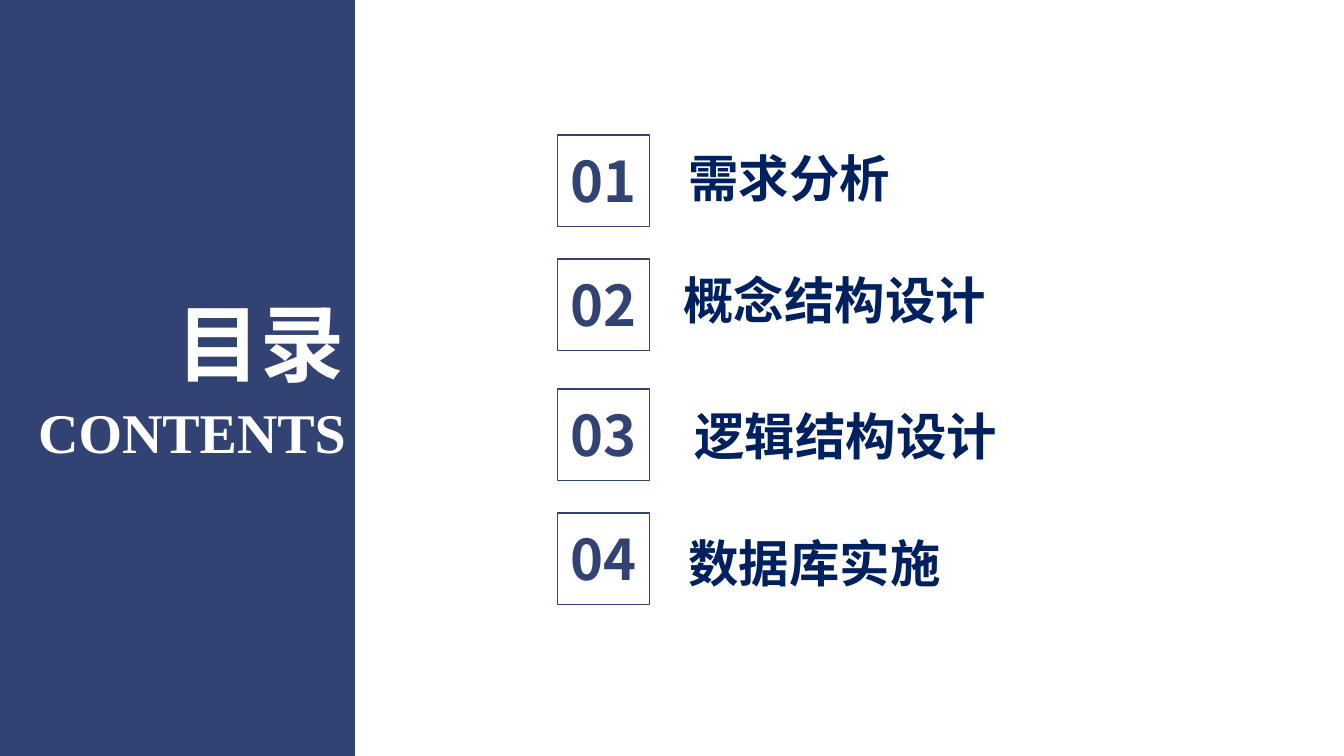
"""Build a contents slide with a dark title panel and four numbered sections."""
from lxml import etree
from pptx import Presentation
from pptx.dml.color import RGBColor
from pptx.enum import shapes, text
from pptx.oxml.ns import qn
from pptx.util import Inches, Pt

TITLES = [
    ("目录", "title", (0.98, 2.84, 2.54, 1.11)),
    ("CONTENTS", "subtitle", (0, 3.89, 3.53, 0.77)),
]
SECTIONS = [
    {"heading": "需求分析", "frame_top": 1.34, "at": (6.73, 1.41, 2.62, 0.71), "indent": 0},
    {"heading": "概念结构设计", "frame_top": 2.57, "at": (6.33, 2.62, 3.88, 0.71), "indent": 0.35},
    {"heading": "逻辑结构设计", "frame_top": 3.86, "at": (6.44, 3.97, 4.67, 0.71), "indent": 0.35},
    {"heading": "数据库实施", "frame_top": 5.09, "at": (6.73, 5.23, 5.36, 0.71), "indent": 0},
]
SLIDE_SIZE = (13.33, 7.5)
PANEL_WIDTH = 3.52
FRAME_LEFT, FRAME_SIZE = 5.53, 0.91
NUMBER_DROP, NUMBER_HEIGHT = 0.06, 0.77

SANS, SERIF = "Noto Sans CJK SC", "Times New Roman"
NAVY, INK, WHITE = (RGBColor.from_string(code) for code in ("324273", "002060", "FFFFFF"))
RIGHT, CENTER, LEFT = text.PP_ALIGN.RIGHT, text.PP_ALIGN.CENTER, text.PP_ALIGN.LEFT
THEME = {
    "panel": NAVY,
    "frame": RGBColor.from_string("324274"),
    "frame_width": Pt(1),
    "title": ({"name": SANS, "size": Pt(60), "bold": True}, WHITE, RIGHT),
    "subtitle": ({"name": SERIF, "size": Pt(40), "bold": True}, WHITE, RIGHT),
    "heading": ({"name": SANS, "size": Pt(36), "bold": True}, INK, LEFT),
    "number": ({"name": SANS, "size": Pt(40), "bold": True}, NAVY, CENTER),
}


def add_label(parent, wording, style, at, indent=0):
    font_format, color, alignment = THEME[style]
    frame = parent.add_textbox(*map(Inches, at)).text_frame
    frame.word_wrap = True
    frame.auto_size = text.MSO_AUTO_SIZE.SHAPE_TO_FIT_TEXT
    paragraph = frame.paragraphs[0]
    paragraph.alignment = alignment
    if indent:
        paragraph._p.get_or_add_pPr().set("indent", str(Inches(indent)))
    run = paragraph.add_run()
    run.text = wording
    for attribute, setting in font_format.items():
        setattr(run.font, attribute, setting)
    run.font.color.rgb = color
    east_asian = etree.SubElement(run._r.get_or_add_rPr(), qn("a:ea"))
    east_asian.set("typeface", font_format["name"])


def add_rectangle(parent, at):
    rectangle = parent.add_shape(shapes.MSO_SHAPE.RECTANGLE, *map(Inches, at))
    rectangle.shadow.inherit = False
    return rectangle


def add_section(slide, number, section):
    group = slide.shapes.add_group_shape().shapes
    top = section["frame_top"]
    add_label(group, section["heading"], "heading", section["at"], section["indent"])
    add_label(group, f"{number:02d}", "number",
              (FRAME_LEFT, top + NUMBER_DROP, FRAME_SIZE, NUMBER_HEIGHT))
    frame = add_rectangle(group, (FRAME_LEFT, top, FRAME_SIZE, FRAME_SIZE))
    frame.fill.background()
    frame.line.color.rgb = THEME["frame"]
    frame.line.width = THEME["frame_width"]


def main():
    deck = Presentation()
    deck.slide_width, deck.slide_height = map(Inches, SLIDE_SIZE)
    slide = deck.slides.add_slide(deck.slide_layouts[6])

    panel = add_rectangle(slide.shapes, (0, 0, PANEL_WIDTH, SLIDE_SIZE[1]))
    panel.fill.solid()
    panel.fill.fore_color.rgb = THEME["panel"]
    panel.line.fill.background()

    for wording, style, at in TITLES:
        add_label(slide.shapes, wording, style, at)
    for number, section in enumerate(SECTIONS, start=1):
        add_section(slide, number, section)
    deck.save("out.pptx")


if __name__ == "__main__":
    main()
